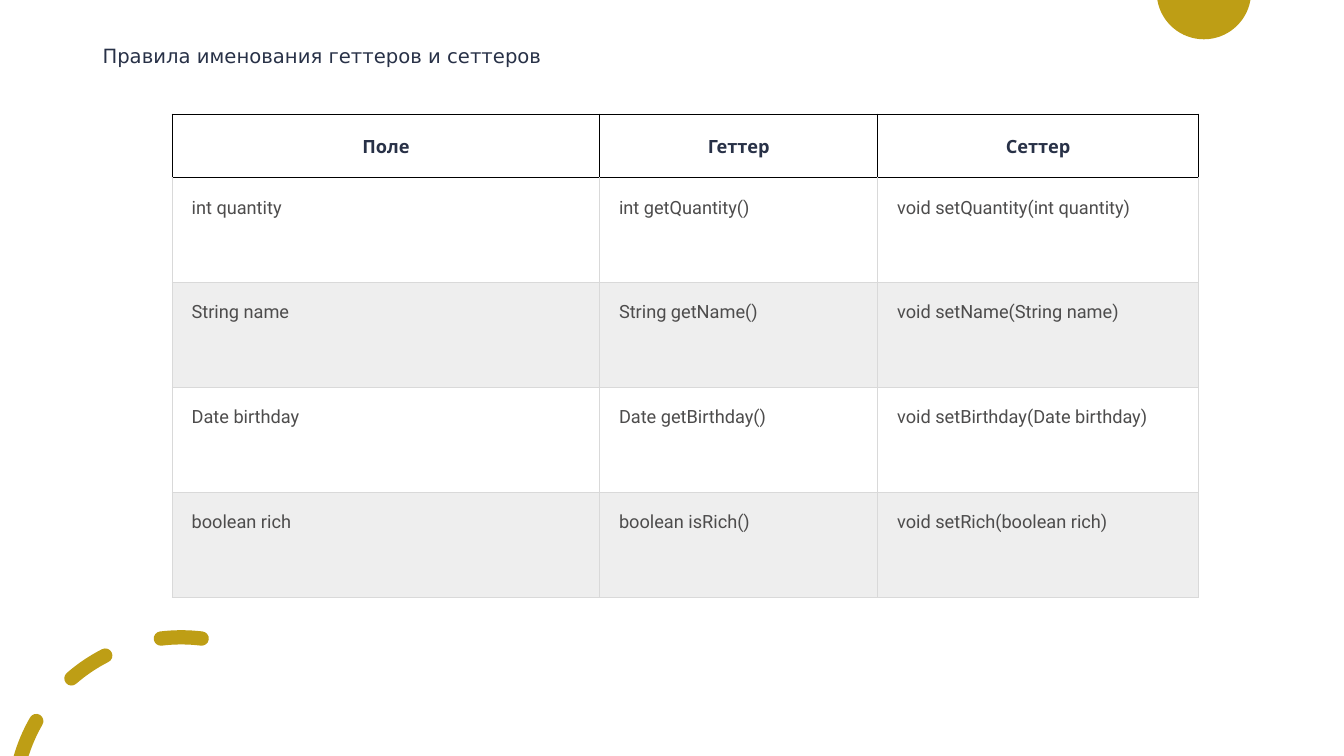
from math import cos, radians, sin, tan

from lxml.etree import SubElement
from pptx import Presentation
from pptx.dml.color import RGBColor
from pptx.enum.text import MSO_ANCHOR, MSO_AUTO_SIZE, PP_ALIGN
from pptx.oxml import parse_xml
from pptx.oxml.ns import nsdecls, qn
from pptx.util import Cm, Pt

GOLD, NAVY, GREY = "BE9E15", "283147", "4D4C4C"
BLACK, RULE, WHITE, BAND = "000000", "D9D9D9", "FFFFFF", "EEEEEE"


def rgb(color):
    return RGBColor.from_string(color)


def arc(cx, cy, radius, start, end, pieces=1):
    """Bezier points of an arc; centimetres, degrees counter-clockwise."""
    step = radians(end - start) / pieces
    pull = radius * 4 / 3 * tan(step / 4)
    points = []
    for i in range(pieces + 1):
        a = radians(start) + i * step
        x, y = cx + radius * cos(a), cy - radius * sin(a)
        dx, dy = -pull * sin(a), -pull * cos(a)
        points += [(x - dx, y - dy), (x, y), (x + dx, y + dy)]
    return [(Cm(x), Cm(y)) for x, y in points[1:-1]]


prs = Presentation()
prs.slide_width, prs.slide_height = Cm(33.87), Cm(19.05)
s = prs.slides.add_slide(prs.slide_layouts[5])

# Rounded dashes along one large circle; the last is cut flat by the slide edge
cx, cy, radius, half = 4.57, 20.28, 4.22, 0.18
dashes = []
for start, outer_end, inner_end in [(83, 97, 97), (117, 131, 131), (150, 163.8, 162.3)]:
    points = arc(cx, cy, radius - half, inner_end, start)
    a = radians(start)
    points += arc(cx + radius * cos(a), cy - radius * sin(a), half,
                  start + 180, start + 360, 2)[1:]
    points += arc(cx, cy, radius + half, start, outer_end)[1:]
    if outer_end == inner_end:
        a = radians(outer_end)
        points += arc(cx + radius * cos(a), cy - radius * sin(a), half,
                      outer_end, outer_end + 180, 2)[1:]
    dashes.append(points)

# Gold decorations: half disc at the top, dashes at the bottom
half_disc = [arc(30.34, -0.2, 1.19, 189.7, 350.3, 2)]
for contours in (half_disc, dashes):
    builder = s.shapes.build_freeform(*contours[0][0])
    builder.add_line_segments(contours[0][1:])
    for points in contours[1:]:
        builder.move_to(*points[0])
        builder.add_line_segments(points[1:])
    sp = builder.convert_to_shape()
    sp.shadow.inherit = False
    sp.fill.solid()
    sp.fill.fore_color.rgb = rgb(GOLD)
    sp.line.fill.background()

    # Every three points make one curve
    segments = list(sp._element.iter(qn("a:lnTo")))
    for curve, *others in zip(segments[::3], segments[1::3], segments[2::3]):
        curve.tag = qn("a:cubicBezTo")
        for other in others:
            curve.append(other[0])
            other.getparent().remove(other)

# Title
title = s.shapes.title
title.left, title.top, title.width, title.height = Cm(2.33), Cm(0.66), Cm(28.93), Cm(1.55)
tf = title.text_frame
tf.text = "Правила именования геттеров и сеттеров"
tf.auto_size = MSO_AUTO_SIZE.NONE
tf.vertical_anchor = MSO_ANCHOR.MIDDLE
p = tf.paragraphs[0]
p.alignment = PP_ALIGN.LEFT
p.line_spacing = 0.9
p.font.size, p.font.name = Pt(14), "DejaVu Sans"
p.font.color.rgb = rgb(NAVY)

# Table
rows = [
    ("Поле", "Геттер", "Сеттер"),
    ("int quantity", "int getQuantity()", "void setQuantity(int quantity)"),
    ("String name", "String getName()", "void setName(String name)"),
    ("Date birthday", "Date getBirthday()", "void setBirthday(Date birthday)"),
    ("boolean rich", "boolean isRich()", "void setRich(boolean rich)"),
]
widths = [10.77, 7.01, 8.08]
heights = [1.52] + [2.64] * 4
table = s.shapes.add_table(len(rows), len(widths), Cm(4.34), Cm(2.88),
                           Cm(sum(widths)), Cm(sum(heights))).table
table.first_row = table.horz_banding = False
for column, width in zip(table.columns, widths):
    column.width = Cm(width)
for row, height in zip(table.rows, heights):
    row.height = Cm(height)

for i, texts in enumerate(rows):
    header = i == 0
    for j, text in enumerate(texts):
        cell = table.cell(i, j)
        cell.text = text
        cell.margin_left = cell.margin_right = Cm(0.49)
        cell.margin_top = cell.margin_bottom = Cm(0.49)
        if header:
            cell.fill.background()
        else:
            cell.fill.solid()
            cell.fill.fore_color.rgb = rgb(WHITE if i % 2 else BAND)
        p = cell.text_frame.paragraphs[0]
        p.alignment = PP_ALIGN.CENTER if header else PP_ALIGN.LEFT
        p.font.size, p.font.bold = Pt(13), header
        p.font.name = "Open Sans" if header else "Roboto"
        p.font.color.rgb = rgb(NAVY if header else GREY)

        # Cell borders: black around the header, light grey below
        side = BLACK if header else RULE
        top = BLACK if i < 2 else RULE
        borders = [("lnL", side, 1), ("lnR", side, 1),
                   ("lnT", top, 1 if header else 0.75), ("lnB", side, 0.75)]
        tcPr = cell._tc.get_or_add_tcPr()
        for k, (tag, color, weight) in enumerate(borders):
            ln = parse_xml(f'<a:{tag} {nsdecls("a")} w="{Pt(weight)}"><a:solidFill/></a:{tag}>')
            SubElement(ln[0], qn("a:srgbClr"), val=color)
            tcPr.insert(k, ln)

prs.save("out.pptx")
